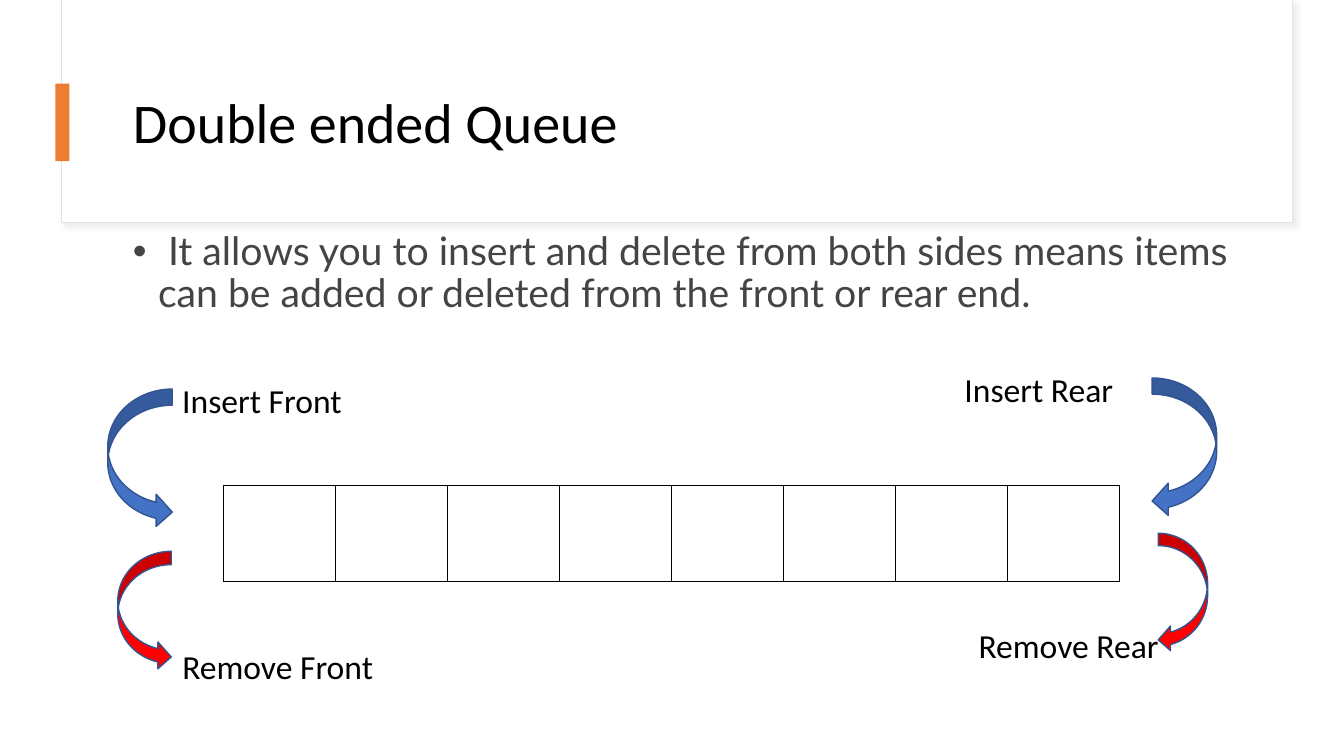
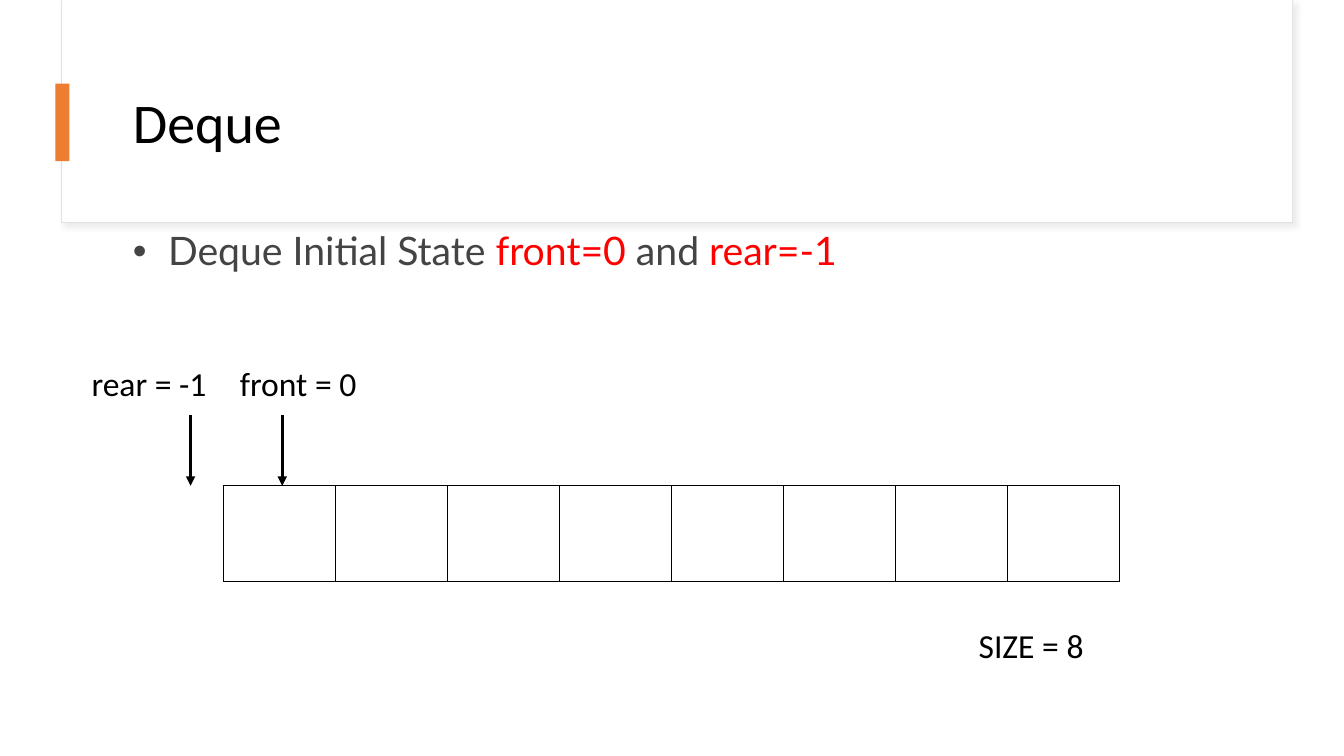
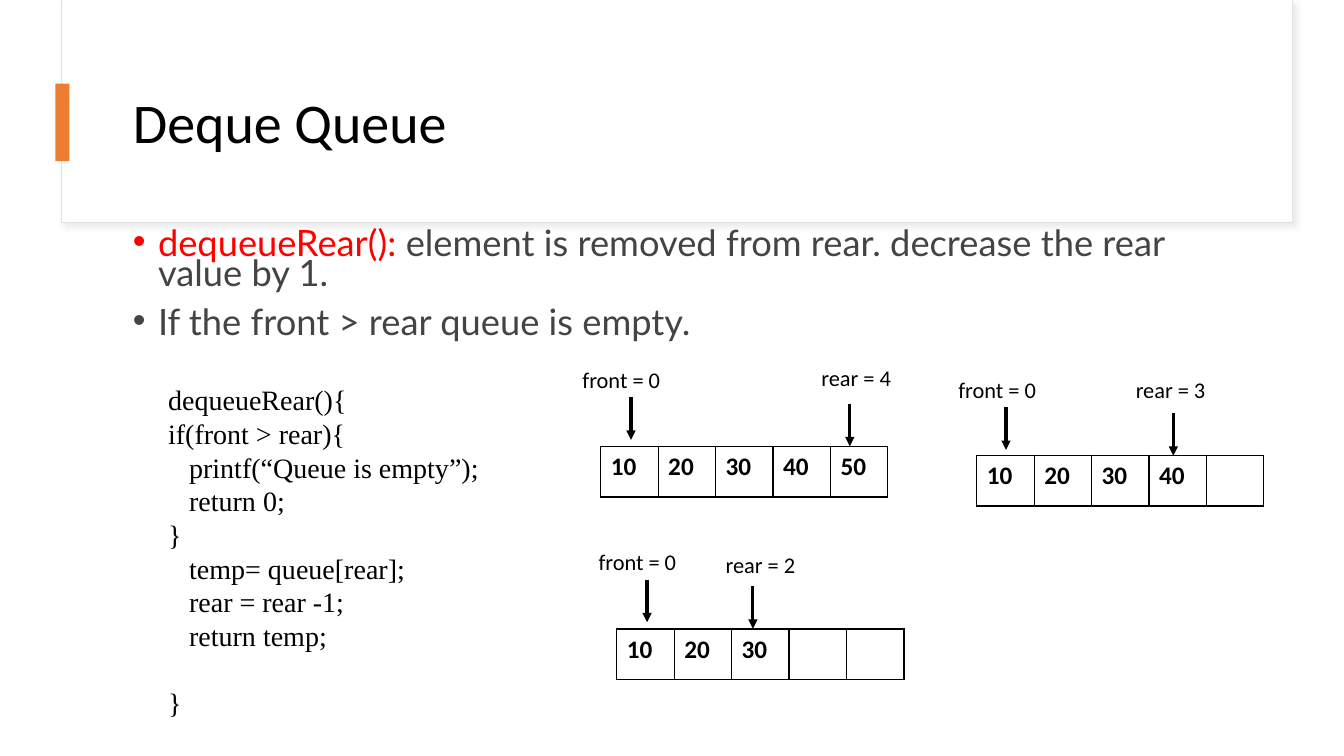
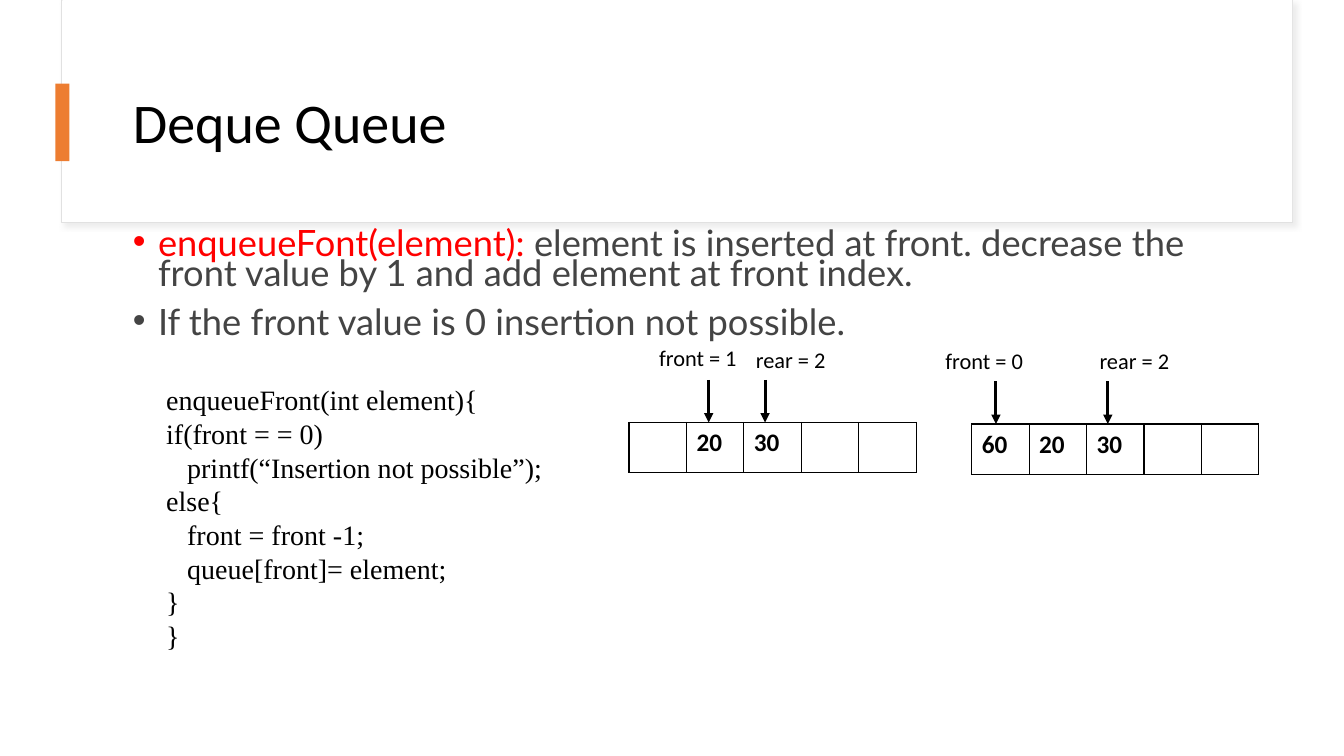
"""Build four slides that explain the double ended queue."""
from dataclasses import dataclass
from typing import NamedTuple

from lxml import etree
from pptx import Presentation
from pptx import util as u
from pptx.dml import color
from pptx.enum import shapes, text
from pptx.oxml import ns

Pt = u.Pt
RGB = color.RGBColor.from_string


@dataclass(frozen=True)
class Theme:
    ink: str = "000000"
    body: str = "444444"
    paper: str = "FFFFFF"
    accent: str = "ED7D31"
    edge: str = "E1E1E1"
    shadow: str = "D9D9D9"
    red: str = "FF0000"
    blue: str = "4472C4"
    outline: str = "325491"
    sans: str = "Calibri"
    body_font: str = "Lato"
    code_font: str = "Times New Roman"
    title_size: float = 40
    body_size: float = 28
    dense_body_size: float = 25.9
    label_size: float = 24
    code_size: float = 20
    cell_size: float = 18
    small_label_size: float = 16


THEME = Theme()


class Box(NamedTuple):
    left: float
    top: float
    width: float
    height: float

    def points(self) -> list:
        return [Pt(value) for value in self]


class Line(NamedTuple):
    text: str
    indent: float = 0
    gap: float = 0


class Run(NamedTuple):
    text: str
    color: str = THEME.body


class Label(NamedTuple):
    text: str
    left: float
    top: float
    width: float


class Turn(NamedTuple):
    preset: shapes.MSO_SHAPE
    box: Box
    fill: str
    flipped: bool


class Pointer(NamedTuple):
    label: Label
    x: float
    top: float


class Queue(NamedTuple):
    left: float
    top: float
    values: list[str]
    pointers: list[Pointer]


PANEL = Box(43.9, 0, 879.1, 159.1)
PANEL_FACE = Box(44.6, 0, 878.4, 158.4)
ACCENT = Box(39.6, 59.8, 10.1, 55.4)
TITLE = Box(87.8, 43.2, 800.6, 92.9)
BODY = Box(87.8, 162, 800.6, 99.4)
LARGE_QUEUE = Box(159.8, 347, 640, 68.4)
LARGE_QUEUE_SIZE = 8
CELL_WIDTH, CELL_HEIGHT = 41.04, 36
POINTER_LENGTH = 30.5
LARGE_POINTER_LENGTH = 50.4
CODE_INDENT = 15


def add_xml(parent, tag: str, **attributes: str):
    """Append a DrawingML element to a parent."""
    element = etree.SubElement(parent, ns.qn(f"a:{tag}"))
    for name, value in attributes.items():
        element.set(name, value)
    return element


def set_font(font, name: str, size: float, ink: str | None = None) -> None:
    """Set the typeface, size and optional colour of a font."""
    font.name, font.size = name, Pt(size)
    if ink:
        font.color.rgb = RGB(ink)


def add_figure(slide, preset, box: Box, fill: str, outline: str | None = None, width: float = 1):
    """Add a filled preset shape without a shadow."""
    shape = slide.shapes.add_shape(preset, *box.points())
    shape.shadow.inherit = False
    shape.fill.solid()
    shape.fill.fore_color.rgb = RGB(fill)
    if outline:
        shape.line.color.rgb = RGB(outline)
        shape.line.width = Pt(width)
    else:
        shape.line.fill.background()
    return shape


def add_lines(slide, box: Box, lines: list[Line], font: str, size: float) -> None:
    """Add a text box with one paragraph per line."""
    frame = slide.shapes.add_textbox(*box.points()).text_frame
    frame.word_wrap = True
    for index, line in enumerate(lines):
        paragraph = frame.add_paragraph() if index else frame.paragraphs[0]
        paragraph.text = line.text
        if line.indent:
            paragraph._p.get_or_add_pPr().set("marL", str(Pt(line.indent)))
        if line.gap:
            paragraph.space_before = Pt(line.gap)
        set_font(paragraph.font, font, size, THEME.ink)


def add_label(slide, label: Label, size: float) -> None:
    """Add a one-line label."""
    box = Box(label.left, label.top, label.width, size * 1.2 + 7.2)
    add_lines(slide, box, [Line(label.text)], THEME.sans, size)


def add_code(slide, left: float, height: float, lines: list[Line]) -> None:
    """Add a code listing below the body text."""
    add_lines(slide, Box(left, 270, 327.6, height), lines, THEME.code_font, THEME.code_size)


def add_bullets(slide, bullets: list[list[Run]], size: float, spacing: float) -> None:
    """Add the bulleted body text."""
    frame = slide.shapes.add_textbox(*BODY.points()).text_frame
    frame.word_wrap = True
    for index, runs in enumerate(bullets):
        paragraph = frame.add_paragraph() if index else frame.paragraphs[0]
        paragraph.line_spacing = spacing
        properties = paragraph._p.get_or_add_pPr()
        properties.set("marL", str(Pt(18)))
        properties.set("indent", str(-Pt(18)))
        add_xml(add_xml(properties, "spcBef"), "spcPct", val="50000")
        add_xml(properties, "buFont", typeface="Arial")
        add_xml(properties, "buChar", char="•")
        set_font(paragraph.font, THEME.body_font, size)
        for part in runs:
            run = paragraph.add_run()
            run.text = part.text
            run.font.color.rgb = RGB(part.color)


def add_cells(slide, box: Box, values: list[str]) -> None:
    """Add a one-row table with equal bordered cells."""
    table = slide.shapes.add_table(1, len(values), *box.points()).table
    table.first_row = table.horz_banding = False
    for column, cell, value in zip(table.columns, table.rows[0].cells, values):
        column.width = Pt(box.width / len(values))
        properties = cell._tc.get_or_add_tcPr()
        for side in ("lnL", "lnR", "lnT", "lnB"):
            border = add_xml(properties, side, w=str(Pt(1)))
            add_xml(add_xml(border, "solidFill"), "srgbClr", val=THEME.ink)
        cell.fill.solid()
        cell.fill.fore_color.rgb = RGB(THEME.paper)
        cell.text = value
        paragraph = cell.text_frame.paragraphs[0]
        set_font(paragraph.font, THEME.sans, THEME.cell_size, THEME.ink)
        paragraph.font.bold = True


def add_pointer(slide, pointer: Pointer, length: float, size: float) -> None:
    """Add a label and its downward arrow."""
    add_label(slide, pointer.label, size)
    x, top = Pt(pointer.x), Pt(pointer.top)
    connector = slide.shapes.add_connector(
        shapes.MSO_CONNECTOR.STRAIGHT, x, top, x, top + Pt(length))
    connector.line.color.rgb = RGB(THEME.ink)
    connector.line.width = Pt(2.25)
    add_xml(connector.line._get_or_add_ln(), "tailEnd", type="triangle")
    add_xml(connector.element.spPr, "effectLst")


def add_queue(slide, queue: Queue) -> None:
    """Add a small queue with its front and rear pointers."""
    for pointer in queue.pointers:
        add_pointer(slide, pointer, POINTER_LENGTH, THEME.small_label_size)
    width = CELL_WIDTH * len(queue.values)
    add_cells(slide, Box(queue.left, queue.top, width, CELL_HEIGHT), queue.values)


def add_large_queue(slide) -> None:
    """Add the large empty queue."""
    add_cells(slide, LARGE_QUEUE, [""] * LARGE_QUEUE_SIZE)


def add_turn(slide, turn: Turn) -> None:
    """Add a curved arrow, mirrored when asked."""
    shape = add_figure(slide, turn.preset, turn.box, turn.fill, THEME.outline)
    if turn.flipped:
        shape.element.spPr.xfrm.set("flipH", "1")


def front(value: int, left: float, top: float, x: float, arrow_top: float) -> Pointer:
    """Describe a small front pointer."""
    return Pointer(Label(f"front = {value}", left, top, 77), x, arrow_top)


def rear(value: int, left: float, top: float, x: float, arrow_top: float) -> Pointer:
    """Describe a small rear pointer."""
    return Pointer(Label(f"rear = {value}", left, top, 68.4), x, arrow_top)


def new_slide(presentation, title: str):
    """Add a slide with the title panel, accent bar and title."""
    slide = presentation.slides.add_slide(presentation.slide_layouts[5])
    rectangle = shapes.MSO_SHAPE.RECTANGLE
    panel = add_figure(slide, rectangle, PANEL, THEME.paper, THEME.edge, 0.75)
    effects = panel.element.spPr.find(ns.qn("a:effectLst"))
    shadow = add_xml(effects, "outerShdw", blurRad=str(Pt(4)), dist=str(Pt(3)),
                     dir="2700000", algn="tl", rotWithShape="0")
    add_xml(add_xml(shadow, "srgbClr", val=THEME.shadow), "alpha", val="50000")
    add_figure(slide, rectangle, PANEL_FACE, THEME.paper)

    heading = slide.shapes.title
    heading.element.getparent().append(heading.element)
    heading.left, heading.top, heading.width, heading.height = TITLE.points()
    heading.text_frame.text = title
    heading.text_frame.vertical_anchor = text.MSO_ANCHOR.MIDDLE
    paragraph = heading.text_frame.paragraphs[0]
    paragraph.alignment = text.PP_ALIGN.LEFT
    paragraph.line_spacing = 0.9
    set_font(paragraph.font, THEME.sans, THEME.title_size, THEME.ink)
    add_figure(slide, rectangle, ACCENT, THEME.accent)
    return slide


def build_overview(presentation) -> None:
    """Show insertion and removal at both ends."""
    slide = new_slide(presentation, "Double ended Queue")
    add_bullets(slide, [[Run(
        " It allows you to insert and delete from both sides means items can be added "
        "or deleted from the front or rear end.")]], THEME.body_size, 0.9)
    add_large_queue(slide)
    right, left = shapes.MSO_SHAPE.CURVED_RIGHT_ARROW, shapes.MSO_SHAPE.CURVED_LEFT_ARROW
    for turn in (
        Turn(right, Box(77, 277.9, 46.1, 99.4), THEME.blue, False),
        Turn(right, Box(823, 270, 46.1, 99.4), THEME.blue, True),
        Turn(left, Box(827.3, 380.9, 35.3, 85), THEME.red, False),
        Turn(left, Box(84.2, 393.8, 38.2, 85), THEME.red, True),
    ):
        add_turn(slide, turn)
    for label in (
        Label("Insert Front", 123.1, 267.8, 129.6),
        Label("Remove Front", 123.1, 457.9, 151.9),
        Label("Insert Rear", 681.8, 259.9, 121.7),
        Label("Remove Rear", 691.9, 442.8, 144.7),
    ):
        add_label(slide, label, THEME.label_size)


def build_initial_state(presentation) -> None:
    """Show the empty deque."""
    slide = new_slide(presentation, "Deque")
    add_bullets(slide, [[
        Run(" Deque Initial State "), Run("front=0", THEME.red),
        Run(" and "), Run("rear=-1", THEME.red),
    ]], THEME.body_size, 0.9)
    add_large_queue(slide)
    for pointer in (
        Pointer(Label("rear = -1", 58.3, 255.6, 98.6), 136.1, 296.6),
        Pointer(Label("front = 0", 164.2, 255.6, 98.6), 201.6, 296.6),
    ):
        add_pointer(slide, pointer, LARGE_POINTER_LENGTH, THEME.label_size)
    add_label(slide, Label("SIZE = 8", 691.9, 442.8, 90), THEME.label_size)


def build_dequeue_rear(presentation) -> None:
    """Show removal from the rear."""
    slide = new_slide(presentation, "Deque Queue")
    add_bullets(slide, [
        [Run("dequeueRear(): ", THEME.red),
         Run("element is removed from rear. decrease the rear value by 1.")],
        [Run("If the front > rear queue is empty.")],
    ], THEME.dense_body_size, 0.7)
    add_code(slide, 113, 249.8, [
        Line("dequeueRear(){"),
        Line("if(front > rear){"),
        Line("printf(“Queue is empty”);", CODE_INDENT),
        Line("return 0;", CODE_INDENT),
        Line("}"),
        Line("temp= queue[rear];", CODE_INDENT),
        Line("rear = rear -1;", CODE_INDENT),
        Line("return temp;", CODE_INDENT),
        Line("}", gap=24),
    ])
    for queue in (
        Queue(429.1, 319, ["10", "20", "30", "40", "50"],
              [rear(4, 579.6, 256.3, 607, 288.3), front(0, 409, 257.8, 450.7, 283.7)]),
        Queue(697.7, 325.4, ["10", "20", "30", "40", ""],
              [rear(3, 804.2, 265, 838.1, 295), front(0, 677.5, 265, 718.6, 290.9)]),
        Queue(440.6, 449.3, ["10", "20", "30", "", ""],
              [rear(2, 511.2, 390.2, 537.8, 418.6), front(0, 420.5, 388.1, 462.2, 414)]),
    ):
        add_queue(slide, queue)


def build_enqueue_front(presentation) -> None:
    """Show insertion at the front."""
    slide = new_slide(presentation, "Deque Queue")
    add_bullets(slide, [
        [Run("enqueueFont(element): ", THEME.red),
         Run("element is inserted at front. decrease the front value by 1 "
             "and add element at front index.")],
        [Run("If the front value is 0 insertion not possible.")],
    ], THEME.dense_body_size, 0.7)
    add_code(slide, 111.6, 200.9, [
        Line("enqueueFront(int element){"),
        Line("if(front = = 0)"),
        Line("printf(“Insertion not possible”);", CODE_INDENT),
        Line("else{"),
        Line("front = front -1;", CODE_INDENT),
        Line("queue[front]= element;", CODE_INDENT),
        Line("}"),
        Line("}"),
    ])
    for queue in (
        Queue(449.3, 301.7, ["", "20", "30", "", ""],
              [rear(2, 532.8, 243.4, 546.5, 271.3), front(1, 463.7, 241.9, 506.2, 271.3)]),
        Queue(694.1, 302.9, ["60", "20", "30", "", ""],
              [rear(2, 778.3, 244.1, 791.3, 272.4), front(0, 668.2, 244.1, 711.4, 272.4)]),
    ):
        add_queue(slide, queue)


def main() -> None:
    """Build and save the presentation."""
    presentation = Presentation()
    presentation.slide_width, presentation.slide_height = Pt(960), Pt(540)
    for build in (build_overview, build_initial_state, build_dequeue_rear, build_enqueue_front):
        build(presentation)
    presentation.save("out.pptx")


if __name__ == "__main__":
    main()
